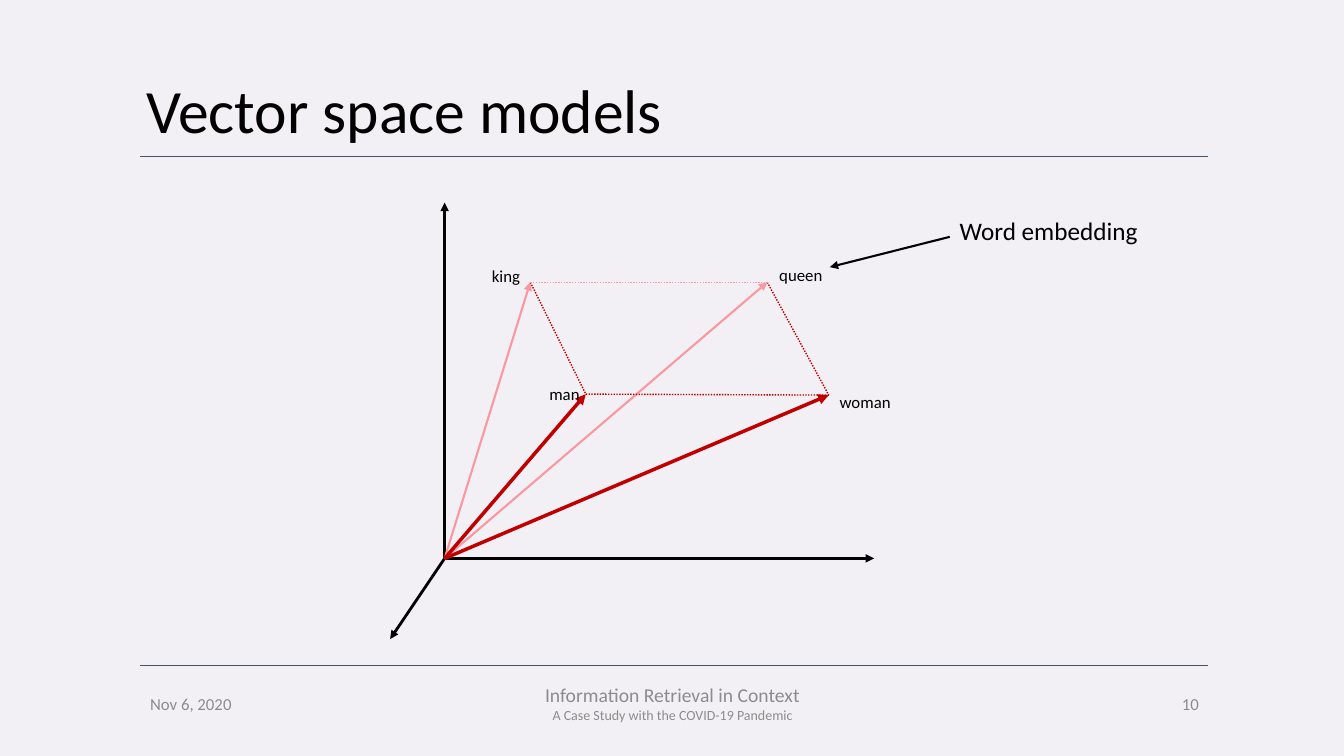
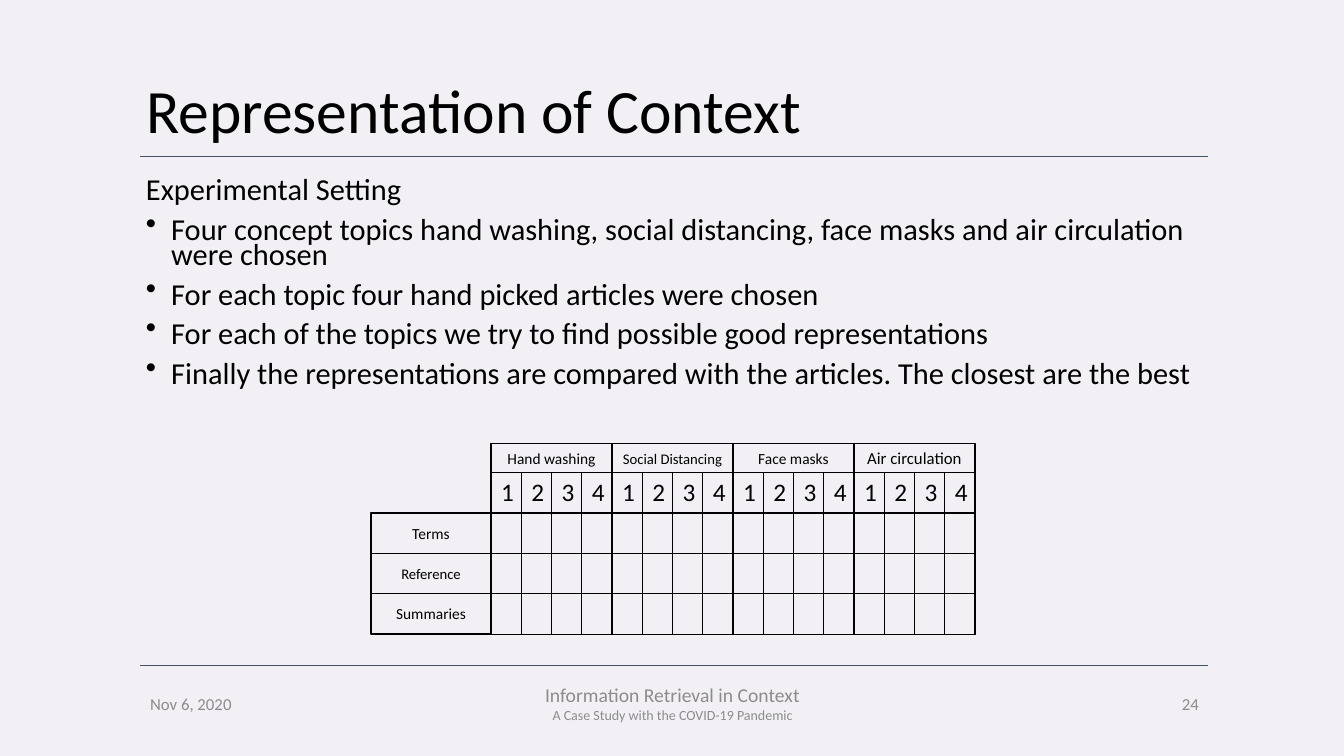
from lxml import etree
from pptx import Presentation
from pptx import util as u
from pptx.dml.color import RGBColor
from pptx.enum import dml, shapes, text
from pptx.oxml.ns import qn

Inches, Pt = u.Inches, u.Pt
FONT = "Calibri"
COLORS = {
    "background": "F2F0F4",
    "cell": "F2F0F5",
    "ink": "000000",
    "footer": "8C8C8C",
    "rule": "44546A",
    "royal": "F898A0",
    "common": "C00000",
}
CENTER = text.PP_ALIGN.CENTER
RIGHT = text.PP_ALIGN.RIGHT
MIDDLE = text.MSO_ANCHOR.MIDDLE


def rgb(name):
    return RGBColor.from_string(COLORS[name])


def format_paragraph(paragraph, size, color="ink", align=None):
    paragraph.font.name = FONT
    paragraph.font.size = Pt(size)
    paragraph.font.color.rgb = rgb(color)
    paragraph.alignment = align


def add_text(slide, box, lines, color="ink", align=None, anchor=None, wrap=True):
    """Add a text box; lines is a list of (wording, size)."""
    shape = slide.shapes.add_textbox(*map(Inches, box))
    frame = shape.text_frame
    frame.word_wrap = wrap
    frame.vertical_anchor = anchor
    frame.text = "\n".join(wording for wording, _ in lines)
    for paragraph, (_, size) in zip(frame.paragraphs, lines):
        format_paragraph(paragraph, size, color, align)
    return shape


def add_line(slide, start, end, color, width, arrow=False, dotted=False):
    line = slide.shapes.add_connector(
        shapes.MSO_CONNECTOR.STRAIGHT, *map(Inches, (*start, *end)))
    line.line.color.rgb = rgb(color)
    line.line.width = Pt(width)
    if dotted:
        line.line.dash_style = dml.MSO_LINE.ROUND_DOT
    properties = line._element.spPr
    if arrow:
        etree.SubElement(properties.find(qn("a:ln")), qn("a:tailEnd"), type="triangle")
    etree.SubElement(properties, qn("a:effectLst"))


# Shared frame: title, rules and footer
def add_framed_slide(presentation, title, number):
    slide = presentation.slides.add_slide(presentation.slide_layouts[5])
    for y in (6.6, 1.55):
        add_line(slide, (1.39, y), (11.98, y), "rule", 1)

    shape = slide.shapes.title
    shape.left, shape.top, shape.width, shape.height = map(Inches, (1.35, 0.4, 11.5, 1.45))
    shape.text_frame.text = title
    shape.text_frame.vertical_anchor = MIDDLE
    paragraph = shape.text_frame.paragraphs[0]
    format_paragraph(paragraph, 44, align=text.PP_ALIGN.LEFT)
    paragraph.line_spacing = 0.9

    footer = (
        (1.39, 2.53, [("Nov 6, 2020", 12)], None),
        (4.42, 4.5, [("Information Retrieval in Context", 14),
                     ("A Case Study with the COVID-19 Pandemic", 10)], CENTER),
        (9.42, 2.57, [(str(number), 12)], RIGHT),
    )
    for left, width, lines, align in footer:
        add_text(slide, (left, 6.78, width, 0.4), lines, "footer", align, MIDDLE)
    return slide


# Word vectors drawn from a common origin
def add_vector_diagram(slide, left, top):
    def at(x, y):
        return left + x, top + y

    origin = at(0.54, 3.53)
    for tip in (at(0.54, 0), at(4.8, 3.53), at(0, 4.33)):
        add_line(slide, origin, tip, "ink", 2, arrow=True)

    king, queen = at(1.39, 0.79), at(3.74, 0.79)
    man, woman = at(1.94, 1.9), at(4.35, 1.91)
    for tip, color, width in ((queen, "royal", 1.5), (king, "royal", 1.5),
                              (man, "common", 2.5), (woman, "common", 2.5)):
        add_line(slide, origin, tip, color, width, arrow=True)

    for wording, x, y, width in (("king", 0.91, 0.58, 0.51), ("man", 1.48, 1.75, 0.81),
                                 ("queen", 3.76, 0.57, 1.01), ("woman", 4.36, 1.83, 1.07)):
        add_text(slide, (*at(x, y), width, 0.3), [(wording, 12)])

    # Dotted parallelogram between the tips
    for start, end, color in ((queen, woman, "common"), (man, woman, "common"),
                              (king, man, "common"), (king, queen, "royal")):
        add_line(slide, start, end, color, 1, dotted=True)

    # Callout
    add_line(slide, at(5.55, 0.34), at(4.36, 0.64), "ink", 1.5, arrow=True)
    add_text(slide, (*at(5.55, 0.08), 1.99, 0.4), [("Word embedding", 18)], wrap=False)


# Heading line followed by bullets
def add_bullets(slide, box, heading, bullets):
    lines = [(wording, 21.7) for wording in (heading, *bullets)]
    shape = add_text(slide, box, lines)
    for index, paragraph in enumerate(shape.text_frame.paragraphs):
        paragraph.line_spacing = 0.7
        if index:
            paragraph.space_before = Pt(10)
            properties = paragraph._p.get_or_add_pPr()
            properties.set("marL", str(Inches(0.25)))
            properties.set("indent", str(-Inches(0.25)))
            bullet = etree.Element(qn("a:buChar"), char="•")
            properties.find(qn("a:defRPr")).addprevious(bullet)


def add_label_box(slide, box, wording, size):
    shape = slide.shapes.add_shape(shapes.MSO_SHAPE.RECTANGLE, *map(Inches, box))
    shape.shadow.inherit = False
    shape.fill.background()
    shape.line.color.rgb = rgb("ink")
    shape.line.width = Pt(1)
    shape.text_frame.text = wording
    shape.text_frame.vertical_anchor = MIDDLE
    format_paragraph(shape.text_frame.paragraphs[0], size, align=CENTER)


def add_cell_borders(cell):
    properties = cell._tc.get_or_add_tcPr()
    for index, side in enumerate(("lnL", "lnR", "lnT", "lnB")):
        border = etree.Element(qn("a:" + side), w=str(Pt(1)))
        fill = etree.SubElement(border, qn("a:solidFill"))
        etree.SubElement(fill, qn("a:srgbClr"), val=COLORS["ink"])
        properties.insert(index, border)


def add_grid(slide, left, top, width, row_height, rows):
    """Add an evenly spaced bordered table."""
    columns = len(rows[0])
    frame = slide.shapes.add_table(
        len(rows), columns, *map(Inches, (left, top, width, row_height * len(rows))))
    table = frame.table
    table.first_row = table.horz_banding = False
    for column in table.columns:
        column.width = Inches(width / columns)
    for r, values in enumerate(rows):
        table.rows[r].height = Inches(row_height)
        for c, value in enumerate(values):
            cell = table.cell(r, c)
            cell.text = value
            cell.fill.solid()
            cell.fill.fore_color.rgb = rgb("cell")
            format_paragraph(cell.text_frame.paragraphs[0], 18)
            add_cell_borders(cell)


# Topics across, representations down
def add_comparison_matrix(slide, left, top):
    topics = (("Hand washing", 11), ("Social Distancing", 10.5),
              ("Face masks", 11), ("Air circulation", 12))
    representations = (("Terms", 11), ("Reference", 10.5), ("Summaries", 11))
    label_width, topic_width, header, row = 1.19, 1.2, 0.29, 0.4
    grid_left, numbers_top = left + label_width, top + header
    grid_top = numbers_top + row
    grid_width = topic_width * len(topics)

    for index, (wording, size) in enumerate(topics):
        box = (grid_left + index * topic_width, top, topic_width, header)
        add_label_box(slide, box, wording, size)
    numbers = list("1234") * len(topics)
    add_grid(slide, grid_left, numbers_top, grid_width, row, [numbers])

    for index, (wording, size) in enumerate(representations):
        box = (left, grid_top + index * row, label_width, row)
        add_label_box(slide, box, wording, size)
    blanks = [[""] * len(numbers) for _ in representations]
    add_grid(slide, grid_left, grid_top, grid_width, row, blanks)


def main():
    presentation = Presentation()
    presentation.slide_width, presentation.slide_height = Inches(13.33), Inches(7.5)
    background = presentation.slide_master.background.fill
    background.solid()
    background.fore_color.rgb = rgb("background")

    slide = add_framed_slide(presentation, "Vector space models", 10)
    add_vector_diagram(slide, 3.87, 2.01)

    slide = add_framed_slide(presentation, "Representation of Context", 24)
    add_bullets(slide, (1.35, 1.74, 10.63, 2.49), "Experimental Setting", (
        "Four concept topics hand washing, social distancing, face masks"
        " and air circulation were chosen",
        "For each topic four hand picked articles were chosen",
        "For each of the topics we try to find possible good representations",
        "Finally the representations are compared with the articles."
        " The closest are the best",
    ))
    add_comparison_matrix(slide, 3.68, 4.4)

    presentation.save("out.pptx")


if __name__ == "__main__":
    main()
